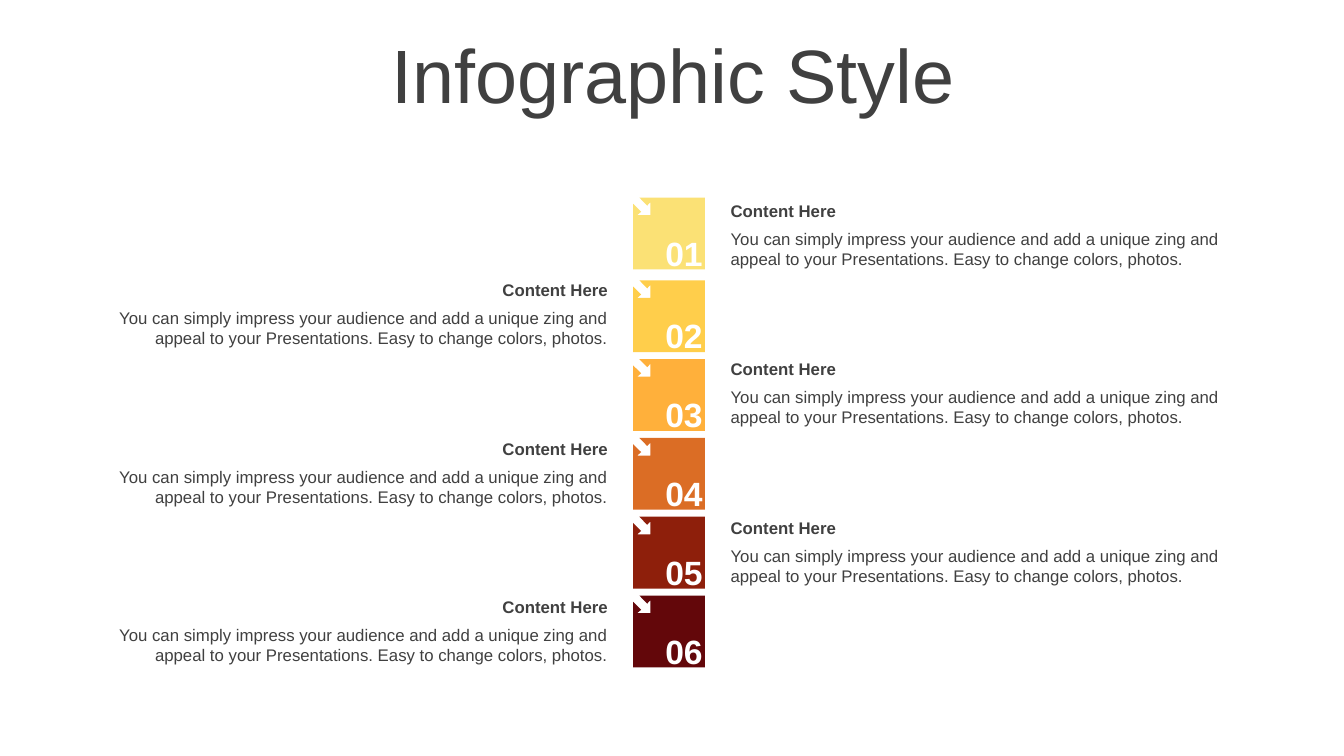
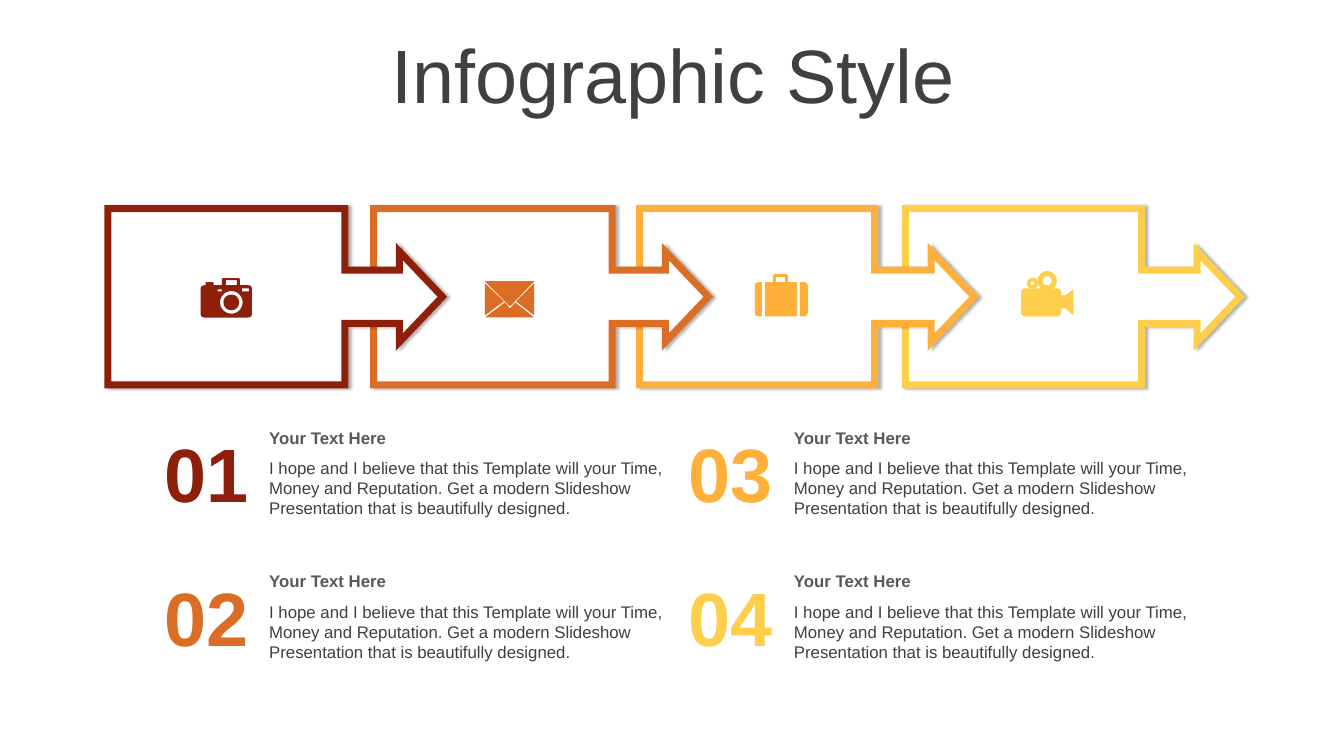
from dataclasses import dataclass
from math import cos, hypot, pi, sin
from typing import NamedTuple

from lxml import etree
from pptx import Presentation
from pptx.dml.color import RGBColor
from pptx.enum.shapes import MSO_SHAPE
from pptx.enum.text import MSO_ANCHOR, PP_ALIGN
from pptx.oxml.ns import qn
from pptx.util import Pt

LEFT, CENTER, RIGHT = PP_ALIGN.LEFT, PP_ALIGN.CENTER, PP_ALIGN.RIGHT
TOP, MIDDLE = MSO_ANCHOR.TOP, MSO_ANCHOR.MIDDLE
CALLOUT = MSO_SHAPE.RIGHT_ARROW_CALLOUT


@dataclass(frozen=True)
class Theme:
    """Colours, font and type sizes shared by the slides."""

    font: str = "Arial"
    text: str = "404040"
    heading: str = "595959"
    white: str = "FFFFFF"
    cream: str = "FBE175"
    yellow: str = "FFCE4B"
    amber: str = "FFB03B"
    orange: str = "DB6D25"
    rust: str = "8E1F0B"
    maroon: str = "63070A"
    display: int = 54
    number: int = 24
    body: int = 12


class Box(NamedTuple):
    """A rectangle in points."""

    left: float
    top: float
    width: float
    height: float

    def inner(self, left, top, width, height):
        """Return a box placed relative to this one."""
        return Box(self.left + left, self.top + top, width, height)

    def lengths(self):
        """Return the four sides as slide lengths."""
        return [Pt(side) for side in self]


THEME = Theme()
ICON_UNIT = 0.72
TITLE_BOX = Box(25.2, 28.2, 911.5, 56.9)
TILE_OUTLINE = [
    (4.5, 0), (51.3, 0), (51.3, 51.3), (0, 51.3), (0, 4.5),
    (5.8, 10.2), (3, 12.6), (12.4, 12.6), (12.4, 3.4), (10.1, 5.8),
]
TILE_TEXT = ("You can simply impress your audience and add a unique zing and "
             "appeal to your Presentations. Easy to change colors, photos.")
STEP_TEXT = ("I hope and I believe that this Template will your Time, Money and "
             "Reputation. Get a modern Slideshow Presentation that is "
             "beautifully designed.")


def rounded(*corners):
    """Return an outline whose (x, y, radius) corners are rounded."""
    points = []
    for index, (x, y, *radius) in enumerate(corners):
        if not radius:
            points.append((x, y))
            continue
        ends = []
        for near in (corners[index - 1], corners[(index + 1) % len(corners)]):
            share = radius[0] / hypot(near[0] - x, near[1] - y)
            ends.append((x + (near[0] - x) * share, y + (near[1] - y) * share))
        (start_x, start_y), (end_x, end_y) = ends
        for step in range(7):
            t = step / 6
            a, b, c = (1 - t) ** 2, 2 * t * (1 - t), t ** 2
            points.append((a * start_x + b * x + c * end_x,
                           a * start_y + b * y + c * end_y))
    return points


def rectangle(left, top, right, bottom):
    """Return the outline of a rectangle."""
    return [(left, top), (right, top), (right, bottom), (left, bottom)]


def circle(x, y, radius):
    """Return the outline of a circle."""
    angles = [2 * pi * step / 40 for step in range(40)]
    return [(x + radius * cos(a), y + radius * sin(a)) for a in angles]


CAMERA = [[
    rounded((0, 7, 4), (5, 7), (5, 4, 0.5), (13, 4, 0.5), (13, 7), (21, 7),
            (21, 0, 1.5), (39, 0, 1.5), (39, 7), (51, 7, 4), (51, 39, 4), (0, 39, 4)),
    rectangle(25, 2, 36, 7), rectangle(17, 11, 21, 13), rectangle(41, 10, 48, 13),
    circle(30.5, 24, 11.2), circle(30.5, 24, 7.8),
]]
ENVELOPE = [[
    [(30, 21), (49, 36), (0, 36), (20, 21), (25, 27)],
    [(49, 2), (49, 34), (31, 20)],
    [(0, 2), (19, 20), (0, 34)],
    [(0, 0), (49, 0), (25, 25)],
]]
SUITCASE = [[
    rounded((45, 8), (52.5, 8, 4), (52.5, 42, 4), (45, 42)),
    rounded((0, 8, 4), (7, 8), (7, 42), (0, 42, 4)),
    rounded((10, 8), (18, 8), (18, 0, 2.5), (33, 0, 2.5), (33, 8),
            (42, 8), (42, 42), (10, 42)),
    rounded((21, 3, 1), (30, 3, 1), (30, 8), (21, 8)),
]]
VIDEO = [
    [rounded((0, 17, 5), (40, 17, 5), (40, 24), (44, 24), (52, 18), (52, 44),
             (44, 37), (40, 37), (40, 45, 5), (0, 45, 5))],
    [circle(26, 9.5, 9.5), circle(26, 9.5, 4.5)],
    [circle(11.5, 12, 5.5), circle(11.5, 12, 2)],
]


def color(value):
    """Turn a hex value into a colour."""
    return RGBColor.from_string(value)


def place_text(page, box, text, size=THEME.body, ink=THEME.text, bold=False,
               align=LEFT, anchor=TOP, inset=None):
    """Place one paragraph of text in a box and return the paragraph."""
    frame = page.shapes.add_textbox(*box.lengths()).text_frame
    frame.word_wrap = True
    frame.vertical_anchor = anchor
    if inset is not None:
        frame.margin_left = frame.margin_right = Pt(inset)
        frame.margin_top = frame.margin_bottom = Pt(inset)
    para = frame.paragraphs[0]
    para.text = text
    para.alignment = align
    para.font.name = THEME.font
    para.font.size = Pt(size)
    para.font.bold = bold
    para.font.color.rgb = color(ink)
    return para


def place_outline(page, left, top, contours, fill, unit=1):
    """Draw closed contours as one filled shape."""
    builder = None
    for contour in contours:
        points = [(Pt(left + x * unit), Pt(top + y * unit)) for x, y in contour]
        if builder is None:
            builder = page.shapes.build_freeform(*points[0], scale=1.0)
        else:
            builder.move_to(*points[0])
        builder.add_line_segments(points[1:], close=True)
    shape = builder.convert_to_shape()
    shape.shadow.inherit = False
    shape.fill.solid()
    shape.fill.fore_color.rgb = color(fill)
    shape.line.fill.background()


def place_title(page, box):
    """Place the slide title."""
    para = place_text(page, box, "Infographic Style", THEME.display,
                      align=CENTER, anchor=MIDDLE)
    para.line_spacing = 0.9


def place_caption(page, box, heading, text, gap, ink=THEME.text, align=LEFT):
    """Place a bold heading with its text a gap below."""
    place_text(page, box.inner(0, 0, box.width, 21.8), heading, ink=ink,
               bold=True, align=align)
    place_text(page, box.inner(0, gap, box.width, box.height - gap), text, align=align)


def place_tile(page, box, number, fill):
    """Place a numbered tile with an arrow cut into its corner."""
    place_outline(page, box.left, box.top, [TILE_OUTLINE], fill)
    place_text(page, box.inner(14.4, 27.8, 35.3, 23), f"{number:02}", THEME.number,
               THEME.white, True, RIGHT, MIDDLE, 0)


def place_callout(page, box, ink, body_share):
    """Place an outlined arrow callout with a soft shadow."""
    shape = page.shapes.add_shape(CALLOUT, *box.lengths())
    for index, value in enumerate((0.303, 0.256, 0.243, body_share)):
        shape.adjustments[index] = value
    shape.fill.solid()
    shape.fill.fore_color.rgb = color(THEME.white)
    shape.line.color.rgb = color(ink)
    shape.line.width = Pt(5)
    shape.shadow.inherit = False
    properties = shape.element.spPr
    etree.SubElement(properties.find(qn("a:ln")), qn("a:miter"), lim="800000")
    shadow = etree.SubElement(properties.find(qn("a:effectLst")), qn("a:outerShdw"),
                              blurRad=str(Pt(2)), dist=str(Pt(2)), dir="0",
                              algn="l", rotWithShape="0")
    tint = etree.SubElement(shadow, qn("a:srgbClr"), val="000000")
    etree.SubElement(tint, qn("a:alpha"), val="30000")


def place_step(page, box, number, ink):
    """Place a large number with its caption on the right."""
    place_text(page, box.inner(0, 0, 80, 72.7), f"{number:02}", THEME.display,
               ink, True, CENTER)
    place_caption(page, box.inner(77.9, 0, box.width - 77.9, box.height),
                  "Your Text Here", STEP_TEXT, 21.6, THEME.heading)


def build_tower(page, box):
    """Build the column of tiles with captions on alternating sides."""
    place_title(page, TITLE_BOX)
    fills = (THEME.cream, THEME.yellow, THEME.amber,
             THEME.orange, THEME.rust, THEME.maroon)
    for index, fill in enumerate(fills):
        tile_top = 2.8 + 56.3 * index if index else 0
        place_tile(page, box.inner(380.9, tile_top, 51.3, 51.3), index + 1, fill)
        left, width, align = (71.3, 370, RIGHT) if index % 2 else (514.8, 372.2, LEFT)
        caption = Box(left, box.top - 1.4 + 56.6 * index, width, 56.2)
        place_caption(page, caption, "Content Here", TILE_TEXT, 20, align=align)


def build_process(page, box):
    """Build the chain of callouts with icons and the grid of steps."""
    place_title(page, TITLE_BOX)
    steps = (
        (THEME.rust, 0.709, CAMERA, 66.3, 49.7),
        (THEME.orange, 0.713, ENVELOPE, 79.4, 51.9),
        (THEME.amber, 0.703, SUITCASE, 82.4, 46.8),
        (THEME.yellow, 0.706, VIDEO, 82.6, 44.7),
    )
    cells = [box.inner(189.9 * index, 0, 239, 126) for index in range(len(steps))]
    for cell, (ink, share, *_) in reversed(list(zip(cells, steps))):
        place_callout(page, cell, ink, share)
    for index, (ink, _, icon, left, top) in enumerate(steps):
        for layer in icon:
            place_outline(page, cells[index].left + left, box.top + top,
                          layer, ink, ICON_UNIT)
        column, row = divmod(index, 2)
        place_step(page, box.inner(30.3 + 374.8 * column, 152.7 + 102.6 * row, 374.5, 72.7),
                   index + 1, ink)


def main():
    """Build and save the deck."""
    deck = Presentation()
    deck.slide_width, deck.slide_height = Pt(960), Pt(540)
    blank = deck.slide_layouts[6]
    build_tower(deck.slides.add_slide(blank), Box(71.3, 141.1, 815.7, 335.6))
    build_process(deck.slides.add_slide(blank), Box(77, 149, 808.7, 328))
    deck.save("out.pptx")


if __name__ == "__main__":
    main()
